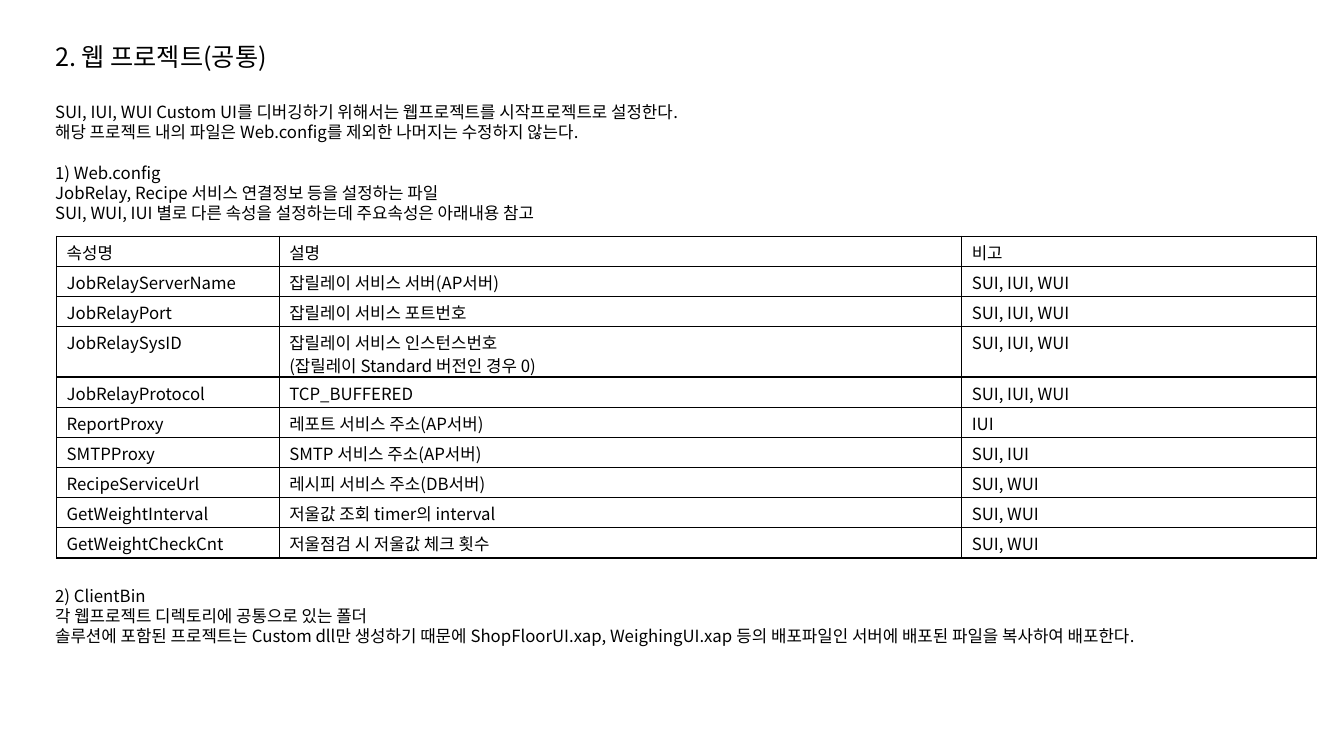
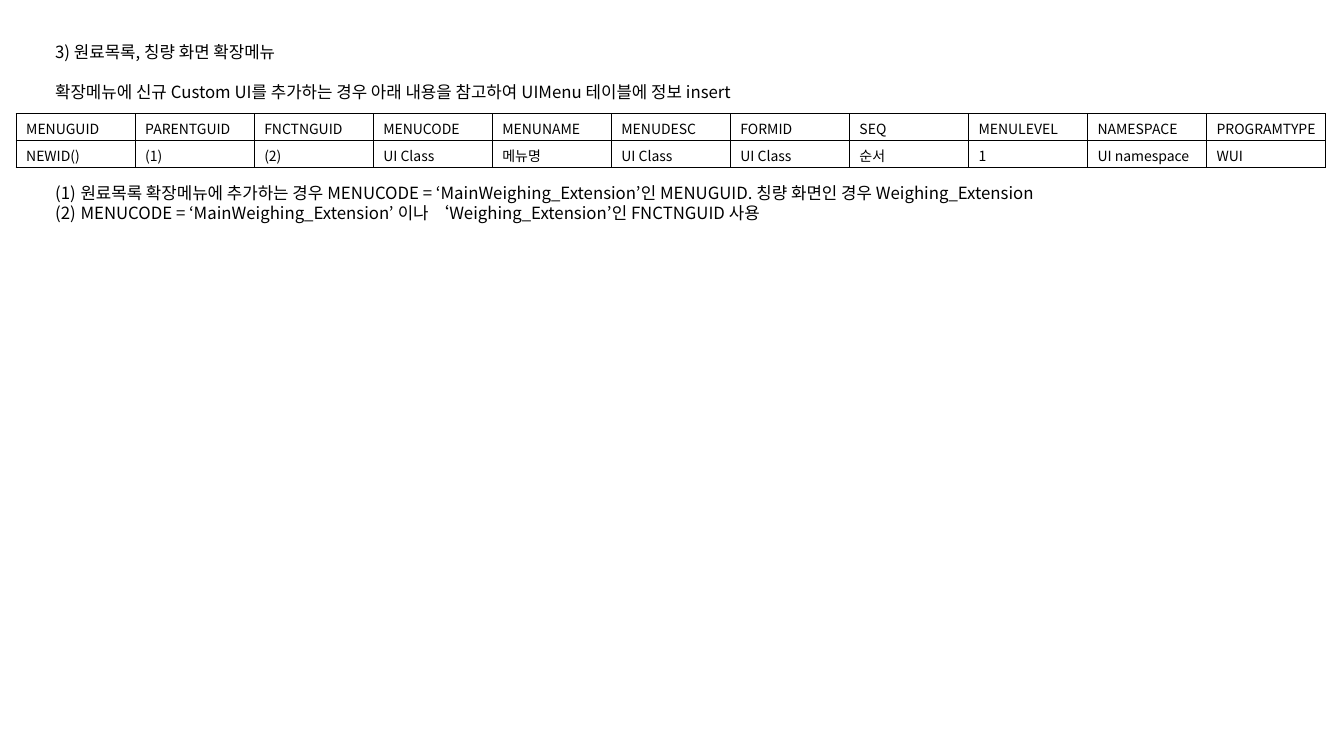
import dataclasses
import typing

import lxml.etree
import pptx
import pptx.dml.color
import pptx.enum.text
import pptx.oxml.ns
import pptx.util

Cm = pptx.util.Cm
Pt = pptx.util.Pt
qn = pptx.oxml.ns.qn

# Shared look
BLACK = pptx.dml.color.RGBColor(0x00, 0x00, 0x00)
FACE = "Noto Sans CJK KR"
LEFT = Cm(1.14)
TOP = Cm(0.91)
LEAD = 1.2  # line pitch of running text, in ems
ROW_LEAD = 1.33  # line pitch in table cells, in ems
HANG = Cm(0.64)
FRAME = {
    "word_wrap": True,
    "auto_size": pptx.enum.text.MSO_AUTO_SIZE.NONE,
    "vertical_anchor": pptx.enum.text.MSO_ANCHOR.TOP,
    "margin_left": Cm(0.25),
    "margin_right": Cm(0.25),
    "margin_top": Cm(0.13),
    "margin_bottom": Cm(0.13),
}
CELL = {
    "vertical_anchor": pptx.enum.text.MSO_ANCHOR.TOP,
    "margin_left": Cm(0.25),
    "margin_right": Cm(0),
    "margin_top": Cm(0.14),
    "margin_bottom": Cm(0),
}


@dataclasses.dataclass
class Block:
    """Groups of lines; a blank line's height parts the groups."""
    top: float
    width: float
    groups: list[list[str]]
    count: bool = False


@dataclasses.dataclass
class Grid:
    left: float
    top: float
    cols: list[float]
    rows: list[float]
    size: int
    cells: list[list[str]]


@dataclasses.dataclass
class Page:
    title: str
    size: int
    blocks: list[Block]
    grid: Grid


def apply(item: typing.Any, form: dict[str, typing.Any]) -> None:
    for name, value in form.items():
        setattr(item, name, value)


def write(para: typing.Any, text: str, size: int, lead: float) -> None:
    """Fill a paragraph with one run in the shared font."""
    apply(para, {
        "alignment": pptx.enum.text.PP_ALIGN.LEFT,
        "line_spacing": Pt(round(size * lead, 1)),
        "space_before": Pt(0),
        "space_after": Pt(0),
    })
    run = para.add_run()
    run.text = text
    apply(run.font, {"name": FACE, "size": Pt(size), "bold": False})
    run.font.color.rgb = BLACK
    east = lxml.etree.SubElement(run.font._element, qn("a:ea"))
    east.set("typeface", FACE)


def fill(frame: typing.Any, lines: list[str], size: int, lead: float) -> list:
    """Write one paragraph a line and return the paragraphs."""
    paras = []
    for i, line in enumerate(lines):
        para = frame.add_paragraph() if i else frame.paragraphs[0]
        write(para, line, size, lead)
        paras.append(para)
    return paras


def number(para: typing.Any) -> None:
    """Give a paragraph a hanging (1), (2) number."""
    props = para._p.get_or_add_pPr()
    props.set("marL", str(HANG))
    props.set("indent", str(-HANG))
    face = lxml.etree.SubElement(props, qn("a:buFont"))
    face.set("typeface", FACE)
    mark = lxml.etree.SubElement(props, qn("a:buAutoNum"))
    mark.set("type", "arabicParenBoth")


def edge(cell: typing.Any) -> None:
    """Draw a thin black border; borders go before the fill."""
    props = cell._tc.get_or_add_tcPr()
    for i, side in enumerate(("lnL", "lnR", "lnT", "lnB")):
        line = lxml.etree.Element(qn("a:" + side), w=str(Pt(1)))
        paint = lxml.etree.SubElement(line, qn("a:solidFill"))
        lxml.etree.SubElement(paint, qn("a:srgbClr"), val=str(BLACK))
        props.insert(i, line)


def add_title(slide: typing.Any, text: str, size: int) -> None:
    title = slide.shapes.title
    apply(title, {"left": LEFT, "top": TOP, "width": Cm(30.1),
                  "height": Cm(1.02)})
    apply(title.text_frame, FRAME)
    fill(title.text_frame, [text], size, LEAD)


def add_block(slide: typing.Any, block: Block, size: int = 12) -> None:
    lines = [line for group in block.groups for line in group]
    slots = len(lines) + len(block.groups) - 1
    pitch = Pt(size * LEAD)
    box = slide.shapes.add_textbox(LEFT, Cm(block.top), Cm(block.width),
                                   slots * pitch + Cm(0.26))
    apply(box.text_frame, FRAME)
    paras = fill(box.text_frame, lines, size, LEAD)
    start = 0
    for group in block.groups[:-1]:
        start += len(group)
        paras[start].space_before = pitch
    if block.count:
        for para in paras:
            number(para)


def add_grid(slide: typing.Any, grid: Grid) -> None:
    table = slide.shapes.add_table(
        len(grid.rows), len(grid.cols), Cm(grid.left), Cm(grid.top),
        Cm(sum(grid.cols)), Cm(sum(grid.rows))).table
    apply(table, {"first_row": False, "horz_banding": False})
    for col, width in zip(table.columns, grid.cols):
        col.width = Cm(width)
    for row, height, texts in zip(table.rows, grid.rows, grid.cells):
        row.height = Cm(height)
        for cell, text in zip(row.cells, texts):
            apply(cell, CELL)
            cell.fill.background()
            edge(cell)
            fill(cell.text_frame, text.split("\n"), grid.size, ROW_LEAD)


# Slide content
KEYS = [
    ["속성명", "설명", "비고"],
    ["JobRelayServerName", "잡릴레이 서비스 서버(AP서버)", "SUI, IUI, WUI"],
    ["JobRelayPort", "잡릴레이 서비스 포트번호", "SUI, IUI, WUI"],
    ["JobRelaySysID",
     "잡릴레이 서비스 인스턴스번호\n(잡릴레이 Standard 버전인 경우 0)",
     "SUI, IUI, WUI"],
    ["JobRelayProtocol", "TCP_BUFFERED", "SUI, IUI, WUI"],
    ["ReportProxy", "레포트 서비스 주소(AP서버)", "IUI"],
    ["SMTPProxy", "SMTP 서비스 주소(AP서버)", "SUI, IUI"],
    ["RecipeServiceUrl", "레시피 서비스 주소(DB서버)", "SUI, WUI"],
    ["GetWeightInterval", "저울값 조회 timer의 interval", "SUI, WUI"],
    ["GetWeightCheckCnt", "저울점검 시 저울값 체크 횟수", "SUI, WUI"],
]
MENU = [
    ["MENUGUID", "PARENTGUID", "FNCTNGUID", "MENUCODE", "MENUNAME",
     "MENUDESC", "FORMID", "SEQ", "MENULEVEL", "NAMESPACE", "PROGRAMTYPE"],
    ["NEWID()", "(1)", "(2)", "UI Class", "메뉴명", "UI Class", "UI Class",
     "순서", "1", "UI namespace", "WUI"],
]
PAGES = [
    Page(
        "2. 웹 프로젝트(공통)", 18,
        [
            Block(2.44, 30.1, [
                ["SUI, IUI, WUI Custom UI를 디버깅하기 위해서는 웹프로젝트를 "
                 "시작프로젝트로 설정한다.",
                 "해당 프로젝트 내의 파일은 Web.config를 제외한 나머지는 "
                 "수정하지 않는다."],
                ["1) Web.config",
                 "JobRelay, Recipe 서비스 연결정보 등을 설정하는 파일",
                 "SUI, WUI, IUI 별로 다른 속성을 설정하는데 주요속성은 "
                 "아래내용 참고"],
            ]),
            Block(14.63, 30.1, [
                ["2) ClientBin",
                 "각 웹프로젝트 디렉토리에 공통으로 있는 폴더",
                 "솔루션에 포함된 프로젝트는 Custom dll만 생성하기 때문에 "
                 "ShopFloorUI.xap, WeighingUI.xap 등의 배포파일인 서버에 "
                 "배포된 파일을 복사하여 배포한다."],
            ]),
        ],
        Grid(1.43, 5.95, [5.61, 17.2, 8.94],
             [1.27 if "\n" in row[1] else 0.76 for row in KEYS], 12, KEYS),
    ),
    Page(
        "3) 원료목록, 칭량 화면 확장메뉴", 12,
        [
            Block(1.93, 32.23, [
                ["확장메뉴에 신규 Custom UI를 추가하는 경우 아래 내용을 "
                 "참고하여 UIMenu 테이블에 정보 insert"],
            ]),
            Block(4.47, 32.23, [
                ["원료목록 확장메뉴에 추가하는 경우 MENUCODE = "
                 "‘MainWeighing_Extension’인 MENUGUID. 칭량 화면인 경우 "
                 "Weighing_Extension",
                 "MENUCODE = ‘MainWeighing_Extension’ 이나 "
                 "‘Weighing_Extension’인 FNCTNGUID 사용"],
            ], count=True),
        ],
        Grid(0.41, 2.87, [3.0] * 11, [0.68] * 2, 10, MENU),
    ),
]


def main() -> None:
    deck = pptx.Presentation()
    apply(deck, {"slide_width": Cm(33.87), "slide_height": Cm(19.05)})
    for page in PAGES:
        slide = deck.slides.add_slide(deck.slide_layouts[5])
        add_title(slide, page.title, page.size)
        for block in page.blocks:
            add_block(slide, block)
        add_grid(slide, page.grid)
    deck.save("out.pptx")


if __name__ == "__main__":
    main()
